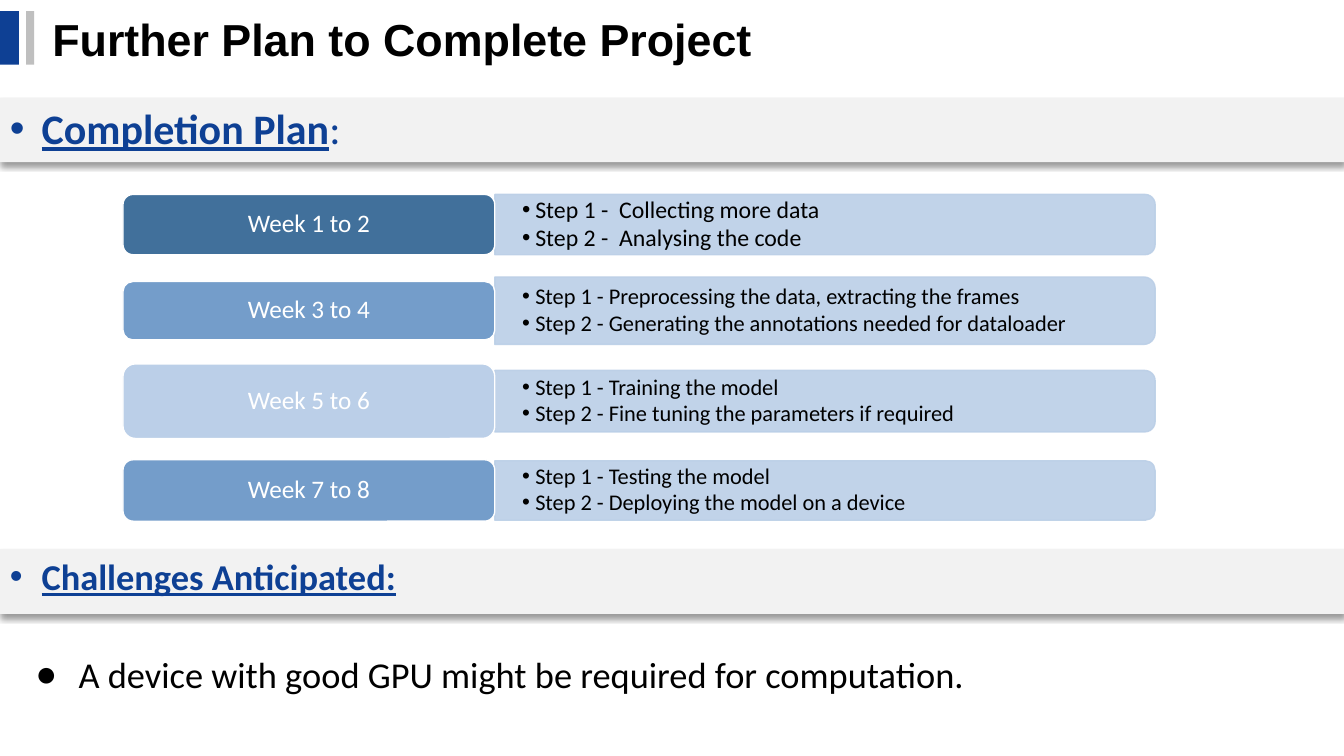
from dataclasses import dataclass

from lxml.etree import SubElement
from pptx import Presentation
from pptx.dml.color import RGBColor
from pptx.enum.shapes import MSO_SHAPE
from pptx.enum.text import MSO_ANCHOR, MSO_AUTO_SIZE, PP_ALIGN
from pptx.oxml.ns import qn
from pptx.shapes.autoshape import Shape
from pptx.slide import Slide
from pptx.text.text import TextFrame, _Paragraph
from pptx.util import Cm, Pt

NAVY = RGBColor(0x0E, 0x40, 0x94)
SILVER = RGBColor(0xBF, 0xBF, 0xBF)
BAND_GREY = RGBColor(0xF2, 0xF2, 0xF2)
BLACK = RGBColor(0x00, 0x00, 0x00)
WHITE = RGBColor(0xFF, 0xFF, 0xFF)
STEEL = RGBColor(0x41, 0x70, 0x9B)
SKY = RGBColor(0x74, 0x9D, 0xCA)
PALE = RGBColor(0xBB, 0xCF, 0xE8)
PANEL_BLUE = RGBColor(0xBB, 0xCF, 0xE7)

SLIDE_WIDTH = 33.87
LABEL_LEFT = 3.1
LABEL_WIDTH = 9.37
PANEL_LEFT = LABEL_LEFT + LABEL_WIDTH
PANEL_WIDTH = 16.64


@dataclass
class Band:
    top: float
    heading: str
    suffix: str
    size: int


@dataclass
class Phase:
    label: str
    steps: tuple[str, str]
    center: float
    label_height: float
    panel_height: float
    color: RGBColor
    step_size: int = 16


BANDS = [
    Band(2.46, "Completion Plan", ":", 30),
    Band(13.84, "Challenges Anticipated:", "", 26),
]

PHASES = [
    Phase("Week 1 to 2",
          ("Step 1 -  Collecting more data", "Step 2 -  Analysing the code"),
          5.66, 1.52, 1.52, STEEL, 17),
    Phase("Week 3 to 4",
          ("Step 1 - Preprocessing the data, extracting the frames",
           "Step 2 - Generating the annotations needed for dataloader"),
          7.83, 1.47, 1.7, SKY),
    Phase("Week 5 to 6",
          ("Step 1 - Training the model",
           "Step 2 - Fine tuning the parameters if required"),
          10.11, 1.88, 1.55, PALE),
    Phase("Week 7 to 8",
          ("Step 1 - Testing the model",
           "Step 2 - Deploying the model on a device"),
          12.36, 1.55, 1.5, SKY),
]


def add_block(slide: Slide, kind: MSO_SHAPE, left: float, top: float,
              width: float, height: float, fill: RGBColor) -> Shape:
    shape = slide.shapes.add_shape(kind, Cm(left), Cm(top), Cm(width), Cm(height))
    shape.shadow.inherit = False
    shape.fill.solid()
    shape.fill.fore_color.rgb = fill
    shape.line.fill.background()
    return shape


def set_outline(shape: Shape, color: RGBColor) -> None:
    shape.line.color.rgb = color
    shape.line.width = Pt(1)


def set_margins(frame: TextFrame, side: float, vertical: float) -> None:
    frame.word_wrap = True
    frame.margin_left = frame.margin_right = Cm(side)
    frame.margin_top = frame.margin_bottom = Cm(vertical)


def set_bullet(paragraph: _Paragraph, character: str, color: RGBColor,
               margin: float, hanging: float) -> None:
    properties = paragraph._p.get_or_add_pPr()
    properties.set("marL", str(Cm(margin)))
    properties.set("indent", str(-Cm(hanging)))
    bullet_color = SubElement(properties, qn("a:buClr"))
    SubElement(bullet_color, qn("a:srgbClr"), val=str(color))
    SubElement(properties, qn("a:buFont"), typeface="Arial")
    SubElement(properties, qn("a:buChar"), char=character)


def set_font(paragraph: _Paragraph, size: int, color: RGBColor,
             name: str = "Calibri") -> None:
    paragraph.font.name = name
    paragraph.font.size = Pt(size)
    paragraph.font.color.rgb = color


def add_shadow(shape: Shape) -> None:
    effects = shape._element.spPr.find(qn("a:effectLst"))
    shadow = SubElement(effects, qn("a:outerShdw"), blurRad=str(Pt(4)),
                        dist=str(Pt(3)), dir="5400000", algn="t", rotWithShape="0")
    color = SubElement(shadow, qn("a:srgbClr"), val=str(BLACK))
    SubElement(color, qn("a:alpha"), val="40000")


def set_opacity(shape: Shape, percent: int) -> None:
    for color in shape._element.spPr.iter(qn("a:srgbClr")):
        SubElement(color, qn("a:alpha"), val=str(percent * 1000))


def add_title(slide: Slide) -> None:
    title = slide.shapes.title
    title.left, title.top, title.width, title.height = Cm(1.07), Cm(0.15), Cm(26.11), Cm(1.63)
    frame = title.text_frame
    frame.text = "Further Plan to Complete Project"
    frame.auto_size = MSO_AUTO_SIZE.NONE
    frame.vertical_anchor = MSO_ANCHOR.MIDDLE
    set_margins(frame, 0.25, 0.13)
    paragraph = frame.paragraphs[0]
    paragraph.alignment = PP_ALIGN.LEFT
    set_font(paragraph, 32, BLACK, "Arial")
    paragraph.font.bold = True


def add_band(slide: Slide, band: Band) -> None:
    shape = add_block(slide, MSO_SHAPE.RECTANGLE, 0, band.top, SLIDE_WIDTH, 1.63, BAND_GREY)
    add_shadow(shape)
    frame = shape.text_frame
    frame.vertical_anchor = MSO_ANCHOR.TOP
    set_margins(frame, 0.25, 0.13)
    paragraph = frame.paragraphs[0]
    paragraph.alignment = PP_ALIGN.JUSTIFY
    set_bullet(paragraph, "•", NAVY, 0.8, 0.8)
    set_font(paragraph, band.size, NAVY)
    heading = paragraph.add_run()
    heading.text = band.heading
    heading.font.bold = heading.font.underline = True
    if band.suffix:
        paragraph.add_run().text = band.suffix


def add_phase(slide: Slide, phase: Phase) -> None:
    panel = add_block(slide, MSO_SHAPE.ROUND_2_SAME_RECTANGLE,
                      PANEL_LEFT + (PANEL_WIDTH - phase.panel_height) / 2,
                      phase.center - PANEL_WIDTH / 2,
                      phase.panel_height, PANEL_WIDTH, PANEL_BLUE)
    panel.rotation = 90
    set_outline(panel, PANEL_BLUE)
    set_opacity(panel, 90)

    steps = slide.shapes.add_textbox(Cm(PANEL_LEFT), Cm(phase.center - phase.panel_height / 2),
                                     Cm(PANEL_WIDTH), Cm(phase.panel_height))
    frame = steps.text_frame
    frame.text = "\n".join(phase.steps)
    frame.vertical_anchor = MSO_ANCHOR.MIDDLE
    set_margins(frame, 0.69, 0)
    for index, paragraph in enumerate(frame.paragraphs):
        paragraph.line_spacing = 0.9
        paragraph.space_before = Pt(1.5 * index)
        set_bullet(paragraph, "•", BLACK, 0.33, 0.33)
        set_font(paragraph, phase.step_size, BLACK)

    label = add_block(slide, MSO_SHAPE.ROUNDED_RECTANGLE, LABEL_LEFT,
                      phase.center - phase.label_height / 2,
                      LABEL_WIDTH, phase.label_height, phase.color)
    set_outline(label, WHITE)
    label.text_frame.text = phase.label
    label.text_frame.vertical_anchor = MSO_ANCHOR.MIDDLE
    paragraph = label.text_frame.paragraphs[0]
    paragraph.alignment = PP_ALIGN.CENTER
    paragraph.line_spacing = 0.9
    set_font(paragraph, 18, WHITE)


def add_challenges(slide: Slide) -> None:
    body = slide.placeholders[1]
    body.left, body.top, body.width, body.height = Cm(0.46), Cm(16.18), Cm(32.84), Cm(2.49)
    frame = body.text_frame
    frame.text = "A device with good GPU might be required for computation."
    frame.auto_size = MSO_AUTO_SIZE.NONE
    set_margins(frame, 0.25, 0.25)
    paragraph = frame.paragraphs[0]
    paragraph.space_before = Pt(0)
    set_bullet(paragraph, "●", BLACK, 1.27, 1.09)
    set_font(paragraph, 26, BLACK)


def main() -> None:
    presentation = Presentation()
    presentation.slide_width = Cm(SLIDE_WIDTH)
    presentation.slide_height = Cm(19.05)
    slide = presentation.slides.add_slide(presentation.slide_layouts[1])
    add_title(slide)
    add_block(slide, MSO_SHAPE.RECTANGLE, 0, 0.28, 0.48, 1.35, NAVY)
    add_block(slide, MSO_SHAPE.RECTANGLE, 0.66, 0.28, 0.2, 1.35, SILVER)
    for band in BANDS:
        add_band(slide, band)
    for phase in PHASES:
        add_phase(slide, phase)
    add_challenges(slide)
    presentation.save("out.pptx")


if __name__ == "__main__":
    main()
